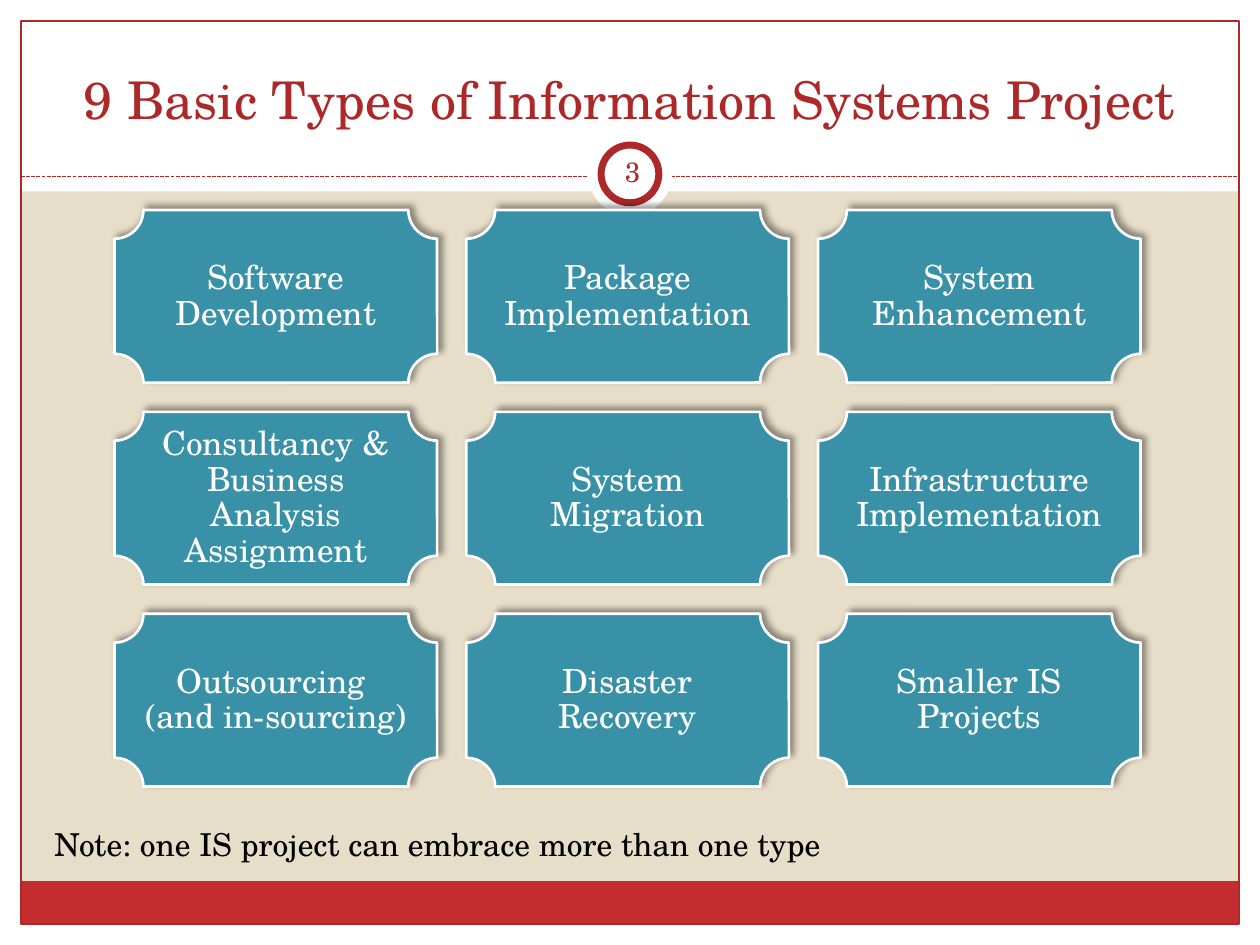
from lxml import etree
from pptx import Presentation
from pptx.dml.color import RGBColor
from pptx.enum.dml import MSO_LINE
from pptx.enum.shapes import MSO_CONNECTOR, MSO_SHAPE
from pptx.enum.text import MSO_ANCHOR, PP_ALIGN
from pptx.oxml import parse_xml
from pptx.oxml.ns import nsdecls, qn
from pptx.util import Pt

RECT, OVAL, PLAQUE = MSO_SHAPE.RECTANGLE, MSO_SHAPE.OVAL, MSO_SHAPE.PLAQUE
LEFT, CENTER = PP_ALIGN.LEFT, PP_ALIGN.CENTER
TOP, MIDDLE, BOTTOM = MSO_ANCHOR.TOP, MSO_ANCHOR.MIDDLE, MSO_ANCHOR.BOTTOM

WHITE = RGBColor(0xFF, 0xFF, 0xFF)
BLACK = RGBColor(0x00, 0x00, 0x00)
BEIGE = RGBColor(0xE7, 0xDE, 0xC9)
RED = RGBColor(0xC3, 0x2D, 0x2E)
DARK_RED = RGBColor(0xAC, 0x28, 0x29)
TEAL = RGBColor(0x38, 0x91, 0xA7)
FONT = "TeX Gyre Schola"

WIDTH, HEIGHT, MARGIN = 720, 540, 12
HEADER_H = 109.4
COLUMNS, GAP = 3, 16.7
PROJECT_TYPES = [
    "Software Development", "Package Implementation", "System Enhancement",
    "Consultancy & Business Analysis Assignment", "System Migration",
    "Infrastructure Implementation",
    "Outsourcing \v(and in-sourcing)", "Disaster Recovery", "Smaller IS Projects",
]


def add_shape(s, kind, x, y, w, h, fill=None, line=None, line_w=0.75):
    sp = s.shapes.add_shape(kind, Pt(x), Pt(y), Pt(w), Pt(h))
    sp.shadow.inherit = False
    if fill is None:
        sp.fill.background()
    else:
        sp.fill.solid()
        sp.fill.fore_color.rgb = fill
    if line is None:
        sp.line.fill.background()
    else:
        sp.line.color.rgb = line
        sp.line.width = Pt(line_w)
    return sp


def write(sp, text, size, color, align=CENTER, anchor=MIDDLE, inset=None, spacing=None):
    """Put text into a shape or text box; a vertical tab breaks the line."""
    tf = sp.text_frame
    tf.word_wrap = True
    tf.vertical_anchor = anchor
    if inset is not None:
        tf.margin_left = tf.margin_right = tf.margin_top = tf.margin_bottom = Pt(inset)
    p = tf.paragraphs[0]
    p.text = text
    p.alignment = align
    if spacing:
        p.line_spacing = spacing
    for r in p.runs:
        r.font.name = FONT
        r.font.size = Pt(size)
        r.font.color.rgb = color


def add_text(s, x, y, w, h, text, size, color, **fmt):
    write(s.shapes.add_textbox(Pt(x), Pt(y), Pt(w), Pt(h)), text, size, color, **fmt)


def add_shadow(sp):
    effects = sp._element.spPr.find(qn("a:effectLst"))
    effects.append(parse_xml(
        f'<a:outerShdw {nsdecls("a")} blurRad="{Pt(4)}" dist="{Pt(3)}" dir="18900000" '
        'algn="tl" rotWithShape="0"><a:srgbClr val="000000"><a:alpha val="40000"/>'
        '</a:srgbClr></a:outerShdw>'))


def add_frame(s, w, h):
    """White page border and header, red footer bar and thin outline."""
    for box in [(0, h - MARGIN, w, MARGIN), (0, 0, w, HEADER_H),
                (0, 0, MARGIN, h), (w - MARGIN, 0, MARGIN, h)]:
        add_shape(s, RECT, *box, fill=WHITE)
    inner_w = w - 2 * MARGIN
    add_shape(s, RECT, MARGIN, h - MARGIN - 24.5, inner_w, 24.5, fill=RED)
    add_shape(s, RECT, MARGIN, MARGIN, inner_w, h - 2 * MARGIN, line=DARK_RED)


def add_header(s, x, y, w, title, number):
    """Title above a dashed rule with the slide number in a ring."""
    rule_y, mid = y + 88.8, x + w / 2
    rule = s.shapes.add_connector(MSO_CONNECTOR.STRAIGHT, Pt(x), Pt(rule_y),
                                  Pt(x + w), Pt(rule_y))
    rule.line.color.rgb = DARK_RED
    rule.line.width = Pt(0.75)
    rule.line.dash_style = MSO_LINE.SQUARE_DOT
    etree.SubElement(rule._element.spPr, qn("a:effectLst"))
    ring_y = y + 87.4
    add_shape(s, OVAL, mid - 24, ring_y - 24, 48, 48, fill=WHITE)
    add_shape(s, OVAL, mid - 16.5, ring_y - 16.5, 33, 33, WHITE, DARK_RED, 4)
    add_text(s, x + 12, y + 6, w - 24, 60, title, 29.7, DARK_RED, anchor=BOTTOM)
    add_text(s, mid - 16.5, ring_y - 18.5, 36, 34.5, number, 16, DARK_RED, inset=3.6)


def add_plaques(s, x, y, w, h, labels):
    rows = len(labels) // COLUMNS
    cell_w = (w - GAP * (COLUMNS - 1)) / COLUMNS
    cell_h = (h - GAP * (rows - 1)) / rows
    for i, label in enumerate(labels):
        row, col = divmod(i, COLUMNS)
        sp = add_shape(s, PLAQUE, x + col * (cell_w + GAP), y + row * (cell_h + GAP),
                       cell_w, cell_h, TEAL, WHITE, 1.57)
        add_shadow(sp)
        write(sp, label, 19, WHITE, inset=5.7, spacing=0.9)


def main():
    prs = Presentation()
    prs.slide_width, prs.slide_height = Pt(WIDTH), Pt(HEIGHT)
    s = prs.slides.add_slide(prs.slide_layouts[6])
    s.background.fill.solid()
    s.background.fill.fore_color.rgb = BEIGE
    add_frame(s, WIDTH, HEIGHT)
    add_header(s, MARGIN, MARGIN, WIDTH - 2 * MARGIN,
               "9 Basic Types of Information Systems Project", "3")
    add_plaques(s, 65.5, 120, 586.3, 329.5, PROJECT_TYPES)
    add_text(s, 24, 468, 672, 29, "Note: one IS project can embrace more than one type",
             18, BLACK, align=LEFT, anchor=TOP)
    prs.save("out.pptx")


if __name__ == "__main__":
    main()
